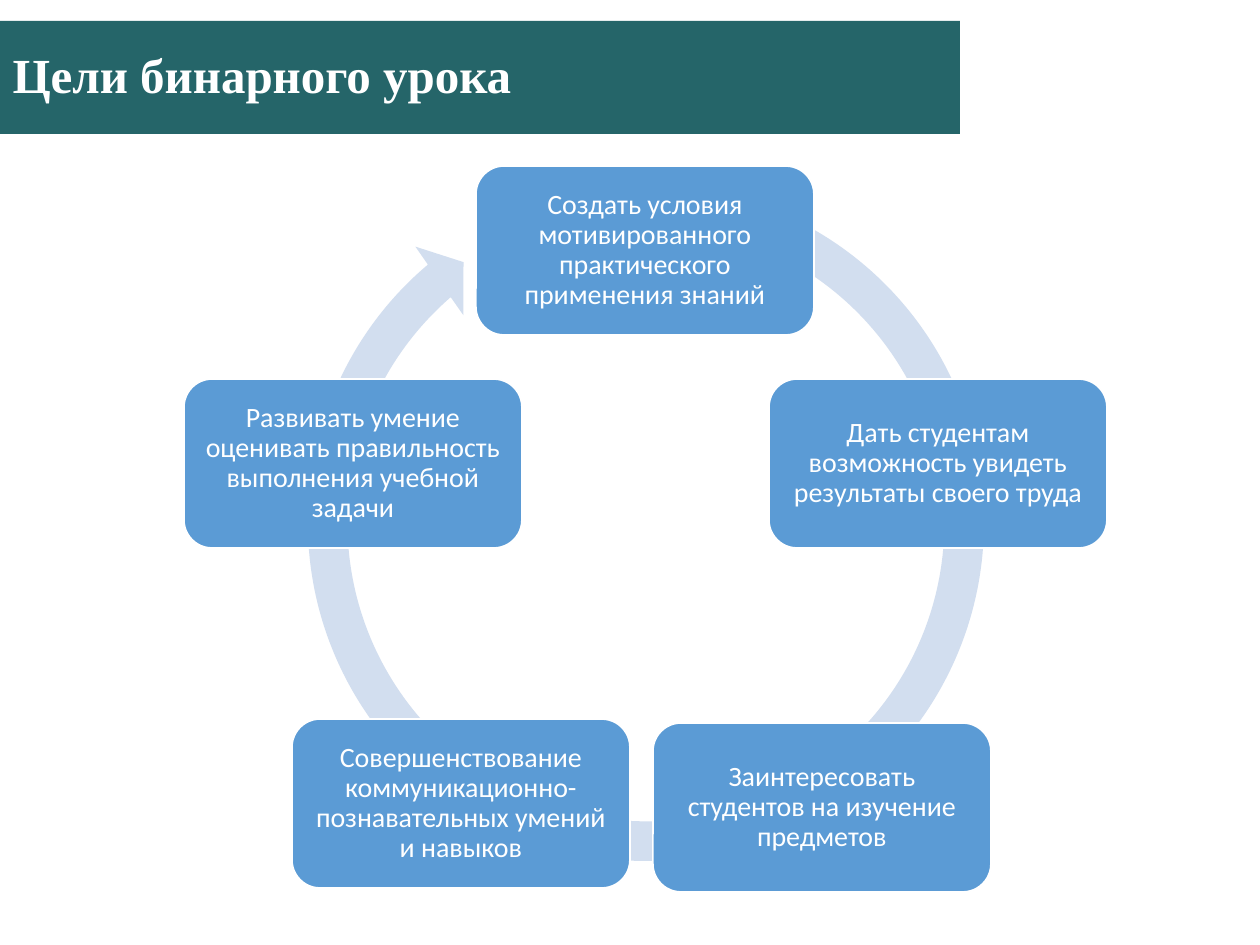
from lxml.etree import SubElement
from pptx import Presentation
from pptx.dml.color import RGBColor
from pptx.enum.shapes import MSO_SHAPE
from pptx.enum.text import MSO_ANCHOR, MSO_AUTO_SIZE, PP_ALIGN
from pptx.oxml.ns import qn
from pptx.util import Emu, Pt

PX = 914400 // 126
GOAL_WIDTH, GOAL_HEIGHT = 338, 169
GOALS = [
    (476, 166, "Создать условия мотивированного практического применения знаний"),
    (769, 379, "Дать студентам возможность увидеть результаты своего труда"),
    (653, 723, "Заинтересовать студентов на изучение предметов"),
    (292, 719, "Совершенствование коммуникационно-познавательных умений и навыков"),
    (184, 379, "Развивать умение оценивать правильность выполнения учебной задачи"),
]


def px(*lengths):
    """Turn pixel lengths into EMU."""
    return [Emu(length * PX) for length in lengths]


def paint(color_format, color):
    """Give a fill or a line a solid hex colour."""
    color_format.solid()
    color_format.fore_color.rgb = RGBColor.from_string(color)


def format_text(shape, font_name, size, alignment, bold=False):
    """Style the white, vertically centred text of a shape."""
    frame = shape.text_frame
    frame.word_wrap = True
    frame.auto_size = MSO_AUTO_SIZE.NONE
    frame.vertical_anchor = MSO_ANCHOR.MIDDLE
    for paragraph in frame.paragraphs:
        paragraph.alignment = alignment
        paragraph.line_spacing = 0.9
        for run in paragraph.runs:
            run.font.name = font_name
            run.font.size = Pt(size)
            run.font.bold = bold
            paint(run.font.fill, "FFFFFF")


def format_title(title, text):
    """Shape the title placeholder as a pentagon banner."""
    title.left, title.top, title.width, title.height = px(0, 21, 960, 113)
    geometry = SubElement(title.element.spPr, qn("a:prstGeom"), prst="homePlate")
    SubElement(geometry, qn("a:avLst"))
    paint(title.fill, "256569")
    title.text_frame.text = text
    format_text(title, "Times New Roman", 28, PP_ALIGN.LEFT, bold=True)


def add_cycle_arrow(slide):
    """Add the pale circular arrow behind the goals."""
    arrow = slide.shapes.add_shape(MSO_SHAPE.CIRCULAR_ARROW, *px(286, 163, 720, 720))
    for index, value in enumerate((0.055, 3.307, 137.714, 173.887, 0.058)):
        arrow.adjustments[index] = value
    arrow.shadow.inherit = False
    paint(arrow.fill, "D2DEEF")
    arrow.line.fill.background()


def add_goal(slide, left, top, text):
    """Add one rounded goal box."""
    goal = slide.shapes.add_shape(
        MSO_SHAPE.ROUNDED_RECTANGLE, *px(left, top, GOAL_WIDTH, GOAL_HEIGHT))
    goal.shadow.inherit = False
    paint(goal.fill, "5B9BD5")
    paint(goal.line.fill, "FFFFFF")
    goal.line.width = Pt(1)
    frame = goal.text_frame
    frame.text = text
    frame.margin_left, frame.margin_top, frame.margin_right, frame.margin_bottom = px(9, 9, 9, 9)
    format_text(goal, "Calibri", 16, PP_ALIGN.CENTER)


def main():
    """Build and save the slide."""
    presentation = Presentation()
    presentation.slide_width, presentation.slide_height = px(1260, 945)
    slide = presentation.slides.add_slide(presentation.slide_layouts[5])
    format_title(slide.shapes.title, "Цели бинарного урока")
    add_cycle_arrow(slide)
    for left, top, text in GOALS:
        add_goal(slide, left, top, text)
    presentation.save("out.pptx")


if __name__ == "__main__":
    main()
